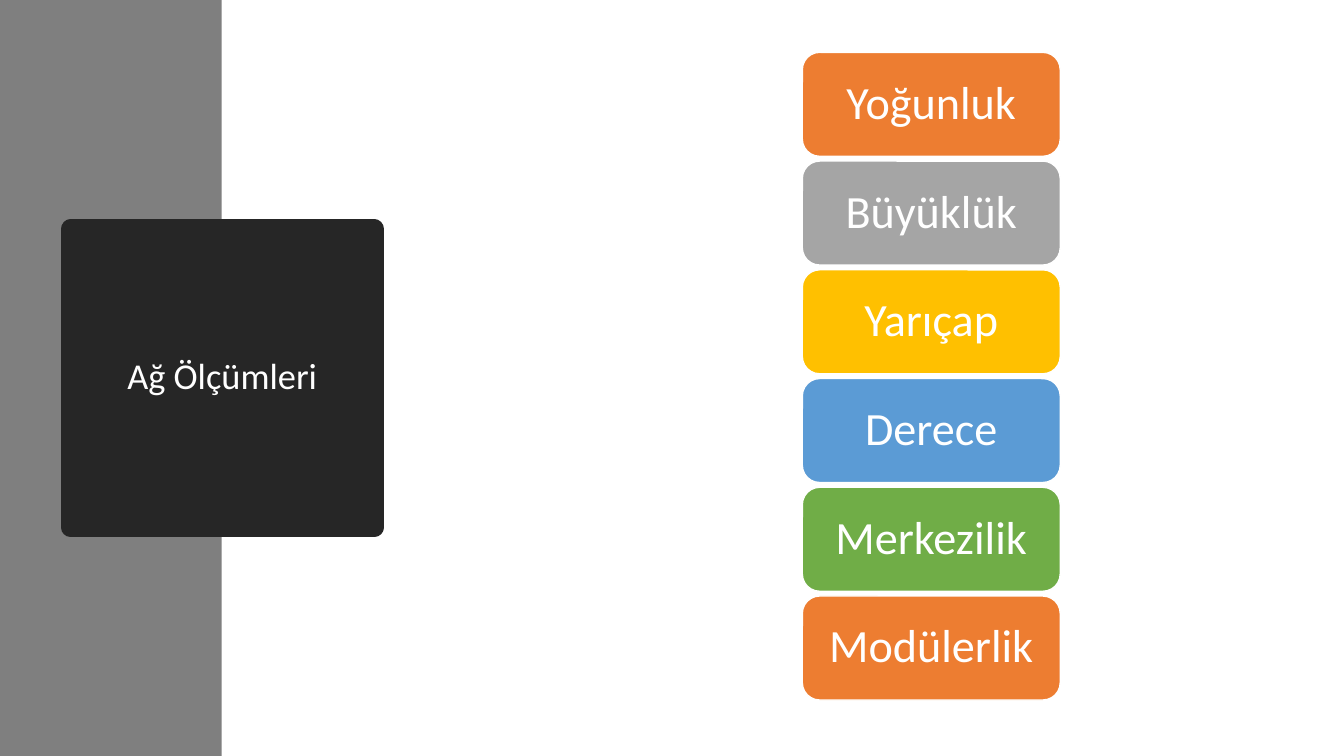
from lxml.etree import SubElement
from pptx import Presentation
from pptx.dml.color import RGBColor
from pptx.enum.shapes import MSO_SHAPE
from pptx.enum.text import MSO_ANCHOR, MSO_AUTO_SIZE, PP_ALIGN
from pptx.oxml.ns import qn
from pptx.util import Cm, Pt

MEASURES = [
    ("Yoğunluk", "ED7D31"),
    ("Büyüklük", "A5A5A5"),
    ("Yarıçap", "FFC000"),
    ("Derece", "5B9BD5"),
    ("Merkezilik", "70AD47"),
    ("Modülerlik", "ED7D31"),
]
CARD_LEFT, CARD_TOP = 20.22, 1.32
CARD_WIDTH, CARD_HEIGHT, CARD_GAP = 6.5, 2.62, 0.12


def paint(target, color):
    if hasattr(target, "solid"):
        target.solid()
        target.fore_color.rgb = RGBColor.from_string(color)
    else:
        target.color.rgb = RGBColor.from_string(color)


def write(box, text, *, font, size, color, side=0.25, end=0.13, after=0):
    frame = box.text_frame
    frame.word_wrap = True
    frame.auto_size = MSO_AUTO_SIZE.NONE
    frame.vertical_anchor = MSO_ANCHOR.MIDDLE
    frame.margin_left = frame.margin_right = Cm(side)
    frame.margin_top = frame.margin_bottom = Cm(end)
    para = frame.paragraphs[0]
    para.alignment = PP_ALIGN.CENTER
    para.line_spacing = 0.9
    para.space_after = Pt(after)
    span = para.add_run()
    span.text = text
    span.font.name = font
    span.font.size = Pt(size)
    paint(span.font, color)


class Composer:
    font = "Calibri"
    light = "FFFFFF"
    dark = "262626"
    gray = "7F7F7F"

    def __init__(self, page):
        self.page = page

    def shape(self, kind, left, top, width, height, fill):
        box = self.page.shapes.add_shape(
            kind, Cm(left), Cm(top), Cm(width), Cm(height)
        )
        box.shadow.inherit = False
        paint(box.fill, fill)
        return box

    def panel(self, width, height):
        box = self.shape(MSO_SHAPE.RECTANGLE, 0, 0, width, height, self.gray)
        box.line.fill.background()
        return box

    def title(self, text, left, top, width, height, behind):
        box = self.page.shapes.title
        box.left, box.top = Cm(left), Cm(top)
        box.width, box.height = Cm(width), Cm(height)
        paint(box.fill, self.dark)
        paint(box.line.fill, self.dark)
        box.line.width = Pt(13.75)
        SubElement(box.element.spPr.find(qn("a:ln")), qn("a:round"))
        write(box, text, font=self.font, size=26, color=self.light)
        behind.element.addnext(box.element)

    def card(self, text, top, fill):
        box = self.shape(
            MSO_SHAPE.ROUNDED_RECTANGLE,
            CARD_LEFT, top, CARD_WIDTH, CARD_HEIGHT, fill,
        )
        paint(box.line.fill, self.light)
        box.line.width = Pt(1)
        write(box, text, font=self.font, size=33, color=self.light,
              side=0.48, end=0.3)


def main():
    deck = Presentation()
    deck.slide_width, deck.slide_height = Cm(33.87), Cm(19.05)
    page = deck.slides.add_slide(deck.slide_layouts.get_by_name("Title Only"))
    composer = Composer(page)
    panel = composer.panel(5.59, 19.05)
    composer.title("Ağ Ölçümleri", 1.78, 5.77, 7.65, 7.52, behind=panel)
    for index, (name, color) in enumerate(MEASURES):
        composer.card(name, CARD_TOP + index * (CARD_HEIGHT + CARD_GAP), color)
    deck.save("out.pptx")


if __name__ == "__main__":
    main()
